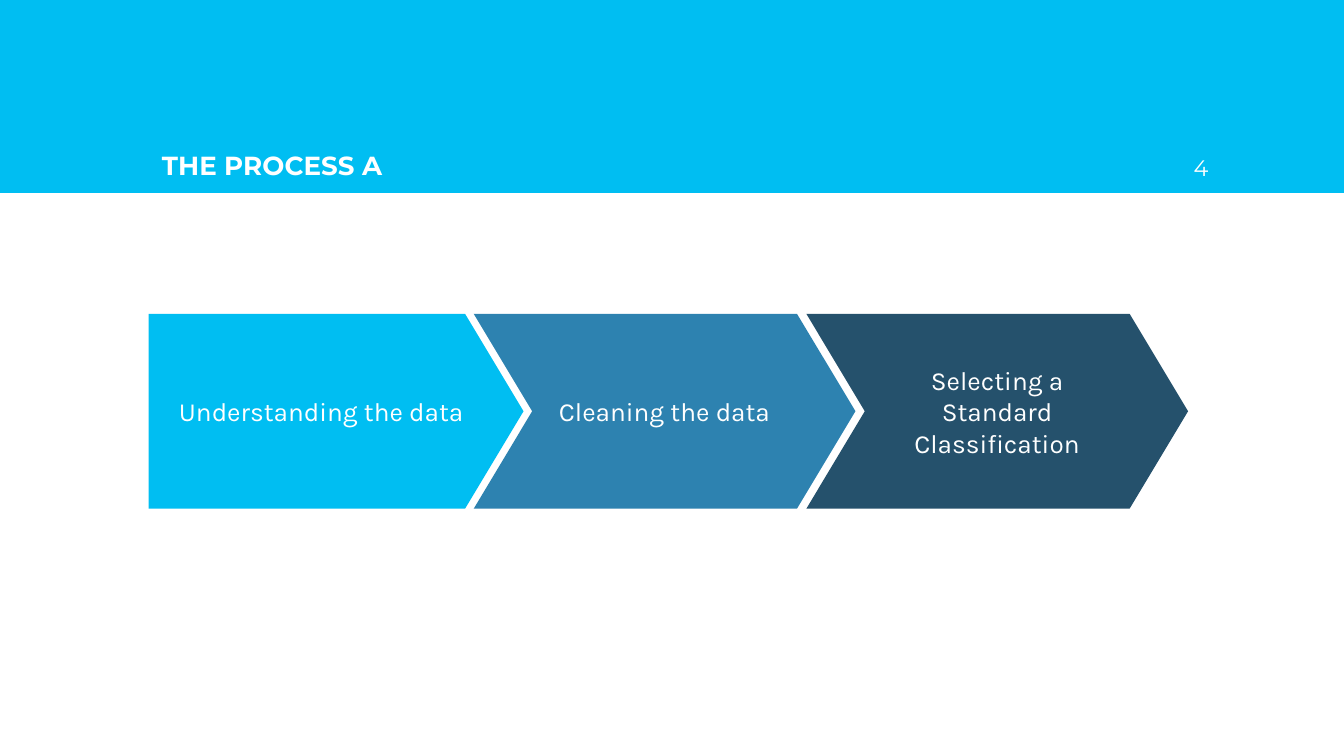
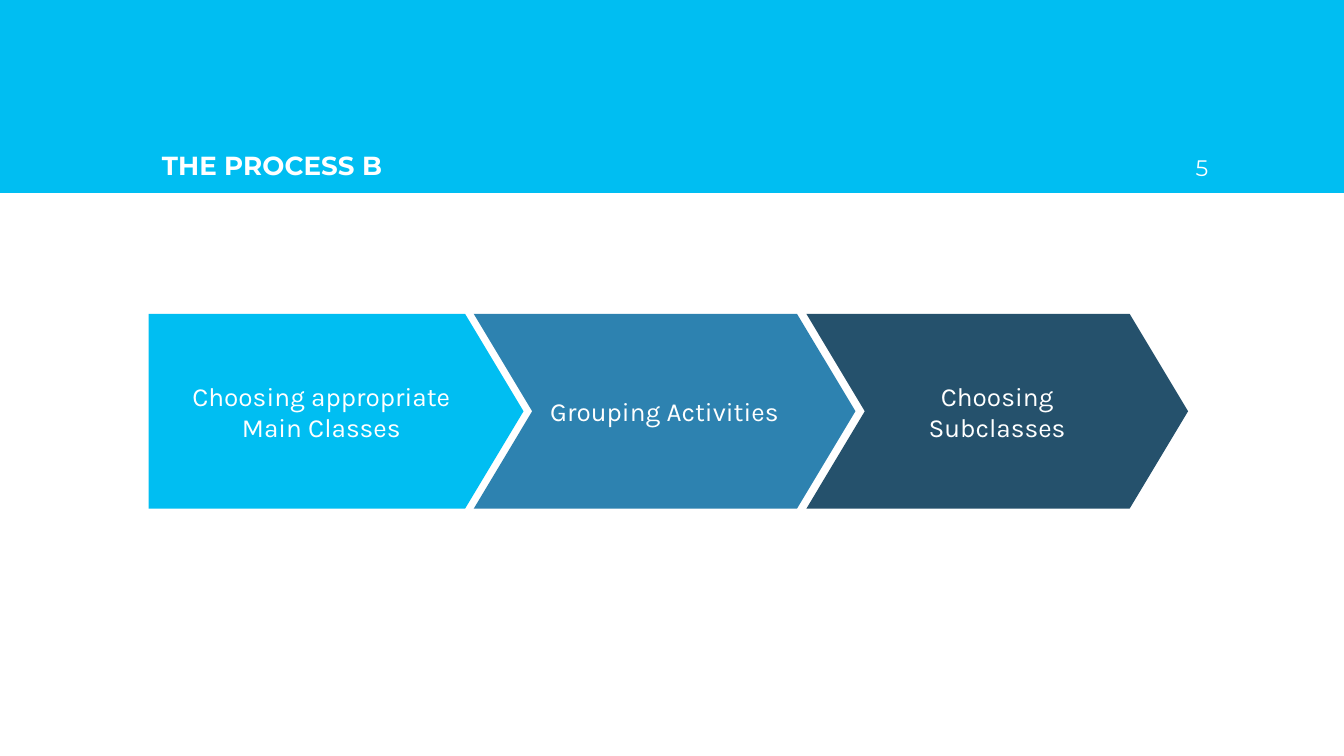
from pptx import Presentation
from pptx import util as u
from pptx.dml.color import RGBColor
from pptx.enum import shapes, text

PX = u.Inches(1) // 200
WIDTH, HEIGHT = 2000, 1125
BAND_HEIGHT = 287
HEADER_TOP, HEADER_HEIGHT = 143, 146
MARGIN = 20
ARROW_TOP, ARROW_HEIGHT = 467, 290
ARROW_POINT = 0.3
CHEVRON_LEFT, CHEVRON_WIDTH, CHEVRON_STEP = 705, 568, 495

WHITE = RGBColor(0xFF, 0xFF, 0xFF)
CYAN = RGBColor(0x00, 0xBE, 0xF2)
BLUE = RGBColor(0x2D, 0x82, 0xB0)
NAVY = RGBColor(0x25, 0x51, 0x6C)

HEADING_FONT = "Montserrat"
BODY_FONT = "Karla"

PROCESSES = [
    ("THE PROCESS A", 4, ["Understanding the data", "Cleaning the data",
                          "Selecting a Standard Classification"]),
    ("THE PROCESS B", 5, ["Choosing appropriate Main Classes", "Grouping Activities",
                          "Choosing Subclasses"]),
]


def box(left, top, width, height):
    return [u.Emu(length * PX) for length in (left, top, width, height)]


def write(shape, content, font=BODY_FONT, size=14, bold=False,
          align=text.PP_ALIGN.CENTER, anchor=text.MSO_ANCHOR.MIDDLE):
    frame = shape.text_frame
    frame.word_wrap = True
    frame.auto_size = text.MSO_AUTO_SIZE.NONE
    frame.vertical_anchor = anchor
    frame.margin_left = frame.margin_right = u.Emu(MARGIN * PX)
    frame.margin_top = frame.margin_bottom = u.Emu(MARGIN * PX)
    paragraph = frame.paragraphs[0]
    paragraph.alignment = align
    run = paragraph.add_run()
    run.text = content
    run.font.name = font
    run.font.size = u.Pt(size)
    run.font.bold = bold
    run.font.color.rgb = WHITE


def add_filled(slide, kind, bounds, color):
    shape = slide.shapes.add_shape(kind, *box(*bounds))
    shape.shadow.inherit = False
    shape.fill.solid()
    shape.fill.fore_color.rgb = color
    shape.line.fill.background()
    return shape


def add_header(slide, heading):
    band = add_filled(slide, shapes.MSO_SHAPE.RECTANGLE,
                      (0, 0, WIDTH, BAND_HEIGHT), CYAN)
    title = slide.shapes.title
    title._element.addprevious(band._element)
    title.left, title.top, title.width, title.height = box(
        221, HEADER_TOP, 1560, HEADER_HEIGHT)
    write(title, heading, font=HEADING_FONT, bold=True,
          align=text.PP_ALIGN.LEFT, anchor=text.MSO_ANCHOR.BOTTOM)


def add_page_number(slide, number):
    page = slide.shapes.add_textbox(*box(1698, HEADER_TOP, 120, HEADER_HEIGHT))
    write(page, str(number), font=HEADING_FONT, size=12,
          align=text.PP_ALIGN.RIGHT, anchor=text.MSO_ANCHOR.BOTTOM)


def add_arrow(slide, kind, left, width, color, label):
    arrow = add_filled(slide, kind, (left, ARROW_TOP, width, ARROW_HEIGHT), color)
    arrow.adjustments[0] = ARROW_POINT
    write(arrow, label)


def add_process(slide, steps):
    first, *others = steps
    add_arrow(slide, shapes.MSO_SHAPE.PENTAGON, 221, 558, CYAN, first)
    for index, (label, color) in enumerate(zip(others, (BLUE, NAVY))):
        add_arrow(slide, shapes.MSO_SHAPE.CHEVRON,
                  CHEVRON_LEFT + index * CHEVRON_STEP, CHEVRON_WIDTH, color, label)


def main():
    presentation = Presentation()
    presentation.slide_width = u.Emu(WIDTH * PX)
    presentation.slide_height = u.Emu(HEIGHT * PX)
    title_only = presentation.slide_layouts[5]
    for heading, number, steps in PROCESSES:
        slide = presentation.slides.add_slide(title_only)
        add_header(slide, heading)
        add_process(slide, steps)
        add_page_number(slide, number)
    presentation.save("out.pptx")


if __name__ == "__main__":
    main()
